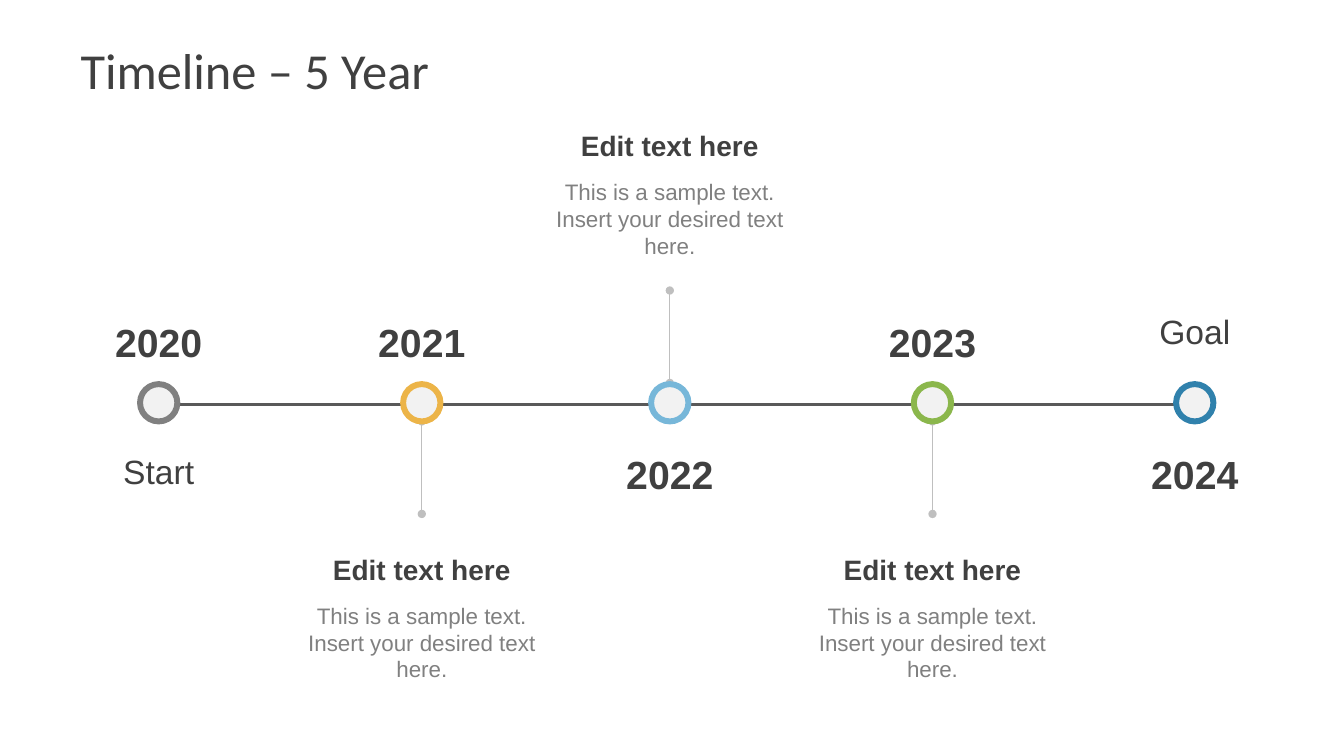
from lxml.etree import SubElement
from pptx import Presentation
from pptx.dml.color import RGBColor
from pptx.enum.shapes import MSO_CONNECTOR, MSO_SHAPE
from pptx.enum.text import MSO_ANCHOR, MSO_AUTO_SIZE, PP_ALIGN
from pptx.oxml.ns import qn
from pptx.util import Cm, Pt

TITLE = "Timeline – 5 Year"
HEADING = "Edit text here"
SAMPLE = "This is a sample text. Insert your desired text here."

# year, centre in cm, ring colour, year above the axis?, end label, has a callout?
MILESTONES = [
    ("2020", 4.0, "grey", True, "Start", False),
    ("2021", 10.63, "orange", True, None, True),
    ("2022", 16.88, "sky", False, None, True),
    ("2023", 23.5, "green", True, None, True),
    ("2024", 30.11, "blue", False, "Goal", False),
]

COLORS = {
    "dark": "404040", "axis": "595959", "grey": "808080", "stem": "BFBFBF",
    "disc": "F2F2F2", "orange": "ECB448", "sky": "77B7D9",
    "green": "8BB74C", "blue": "3081AC",
}

# All lengths in cm; the pairs are positions (above, below) the axis
AXIS_Y = 10.19
NODE_Y, NODE_SIZE = 10.15, 0.94
YEAR_TOPS = (7.9, 11.23)
LABEL_TOPS = (7.72, 11.25)
STEMS = ((7.32, 9.65), (10.62, 12.95))
HEADING_TOPS = (3.12, 13.79)
BODY_OFFSET = 1.25
YEAR_WIDTH, LABEL_WIDTH, CALLOUT_WIDTH = 2.74, 3.73, 7.06


def rgb(name):
    return RGBColor.from_string(COLORS[name])


def style(paragraph, size, color, font="Arial", bold=False):
    paragraph.font.name = font
    paragraph.font.size = Pt(size)
    paragraph.font.bold = bold
    paragraph.font.color.rgb = rgb(color)


def add_text(text, center, top, width, height, size, color="dark", bold=False, wrap=True):
    box = slide.shapes.add_textbox(Cm(center - width / 2), Cm(top), Cm(width), Cm(height))
    frame = box.text_frame
    frame.word_wrap = wrap
    frame.auto_size = MSO_AUTO_SIZE.SHAPE_TO_FIT_TEXT
    paragraph = frame.paragraphs[0]
    paragraph.text = text
    paragraph.alignment = PP_ALIGN.CENTER
    style(paragraph, size, color, bold=bold)


def add_line(x1, y1, x2, y2, color, width, dotted_ends=False):
    """Draw a straight line, with round dots on both ends if asked."""
    line = slide.shapes.add_connector(MSO_CONNECTOR.STRAIGHT, Cm(x1), Cm(y1), Cm(x2), Cm(y2))
    line.line.color.rgb = rgb(color)
    line.line.width = Pt(width)
    if dotted_ends:
        outline = line.line._get_or_add_ln()
        for end in ("a:headEnd", "a:tailEnd"):
            SubElement(outline, qn(end), type="oval")
    SubElement(line._element.spPr, qn("a:effectLst"))


def add_node(center, color):
    node = slide.shapes.add_shape(
        MSO_SHAPE.OVAL, Cm(center - NODE_SIZE / 2), Cm(NODE_Y - NODE_SIZE / 2),
        Cm(NODE_SIZE), Cm(NODE_SIZE))
    node.shadow.inherit = False
    node.fill.solid()
    node.fill.fore_color.rgb = rgb("disc")
    node.line.color.rgb = rgb(color)
    node.line.width = Pt(4.25)


def add_callout(center, side):
    top = HEADING_TOPS[side]
    add_text(SAMPLE, center, top + BODY_OFFSET, CALLOUT_WIDTH, 2.31, 16, "grey")
    add_text(HEADING, center, top, CALLOUT_WIDTH, 1.12, 20, bold=True)


prs = Presentation()
prs.slide_width, prs.slide_height = Cm(33.87), Cm(19.05)
slide = prs.slides.add_slide(prs.slide_layouts[5])

title = slide.shapes.title
title.left, title.top, title.width, title.height = Cm(1.7), Cm(0.76), Cm(30.48), Cm(1.98)
heading = title.text_frame
heading.text = TITLE
heading.auto_size = MSO_AUTO_SIZE.NONE
heading.vertical_anchor = MSO_ANCHOR.MIDDLE
heading.margin_left = heading.margin_right = Cm(0.33)
heading.margin_top = heading.margin_bottom = Cm(0.18)
heading.paragraphs[0].alignment = PP_ALIGN.LEFT
style(heading.paragraphs[0], 36, "dark", font="Calibri")

# Lines first, so that the nodes cover their ends
for year, center, color, year_above, label, has_callout in MILESTONES:
    if has_callout:
        start, end = STEMS[year_above]
        add_line(center, start, center, end, "stem", 0.75, dotted_ends=True)
add_line(MILESTONES[0][1], AXIS_Y, MILESTONES[-1][1], AXIS_Y, "axis", 2.25)

for year, center, color, year_above, label, has_callout in MILESTONES:
    year_side, other_side = (0, 1) if year_above else (1, 0)
    add_node(center, color)
    add_text(year, center, YEAR_TOPS[year_side], YEAR_WIDTH, 1.45, 28, bold=True, wrap=False)
    if label:
        add_text(label, center, LABEL_TOPS[other_side], LABEL_WIDTH, 1.27, 24)
    if has_callout:
        add_callout(center, other_side)

prs.save("out.pptx")
